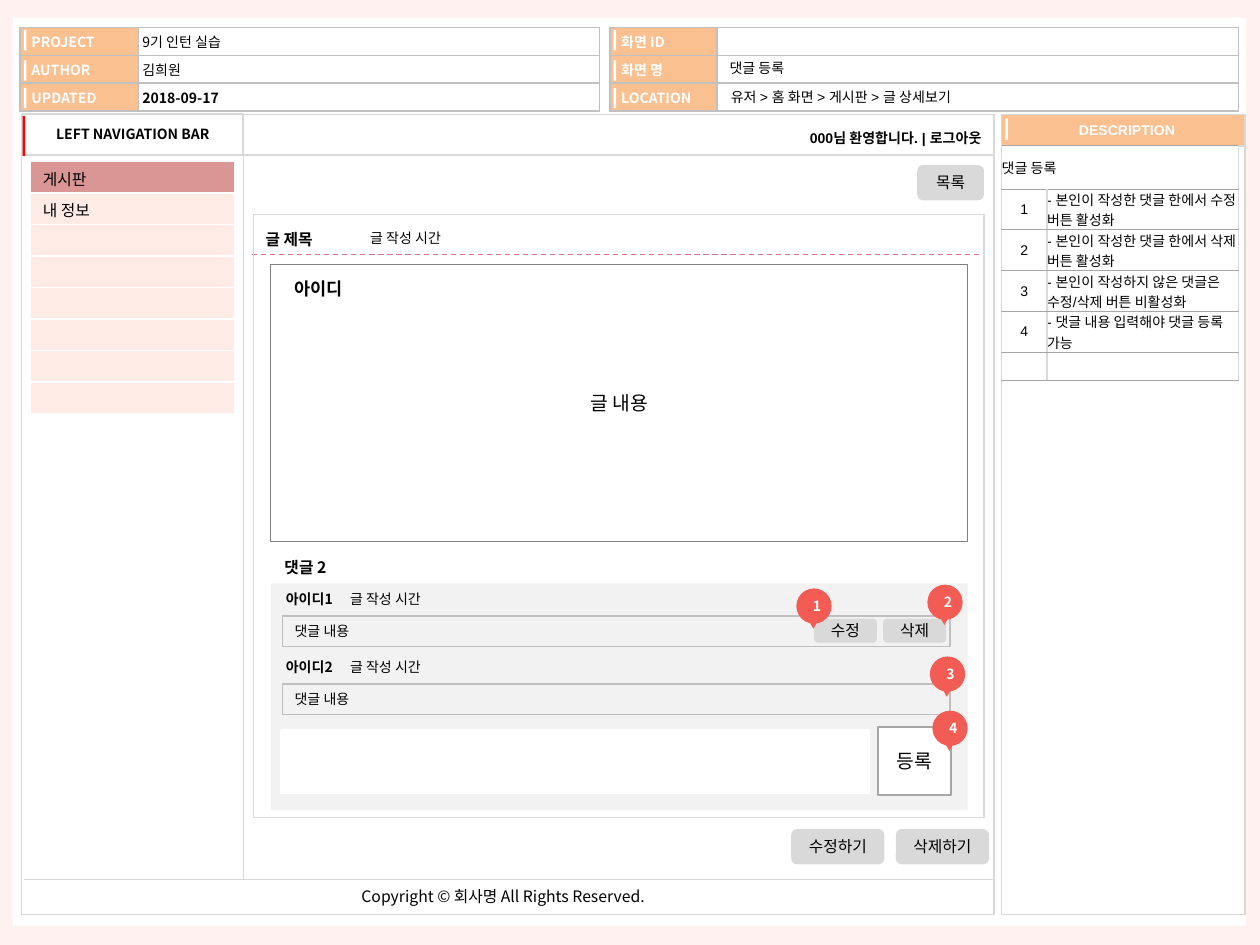
import pptx
import pptx.util
import pptx.dml.color
import pptx.enum.dml
import pptx.enum.shapes
import pptx.enum.text
import pptx.oxml.ns
import lxml.etree

Inches, Pt = pptx.util.Inches, pptx.util.Pt
SHAPE = pptx.enum.shapes.MSO_SHAPE
ALIGN = pptx.enum.text.PP_ALIGN
ANCHOR = pptx.enum.text.MSO_ANCHOR
qn = pptx.oxml.ns.qn

COLORS = {
    "page": "FFF1EF", "white": "FFFFFF", "black": "000000", "label": "FAC090",
    "grid": "C0C0C0", "frame": "D9D9D9", "rule": "A6A6A6", "post": "808080",
    "field": "BFBFBF", "panel": "F2F2F2", "nav": "FFEBE5", "active": "D99694",
    "dash": "D67484", "badge": "F25C54", "red": "FF0000",
}
NOTO, ARIAL = "Noto Sans CJK KR", "Arial"

PROJECT_INFO = [("PROJECT", "9기 인턴 실습"), ("AUTHOR", "김희원"), ("UPDATED", "2018-09-17")]
SCREEN_INFO = [("화면 ID", ""), ("화면 명", ""), ("LOCATION", "")]
SCREEN_NAME = "댓글 등록"
LOCATION = "유저 > 홈 화면 > 게시판 > 글 상세보기"
NAV_ITEMS = ["게시판", "내 정보"] + [""] * 6
NOTES = [
    "- 본인이 작성한 댓글 한에서 수정 버튼 활성화",
    "- 본인이 작성한 댓글 한에서 삭제 버튼 활성화",
    "- 본인이 작성하지 않은 댓글은 수정/삭제 버튼 비활성화",
    "- 댓글 내용 입력해야 댓글 등록 가능",
]
COMMENTS = [("아이디1", 4.64), ("아이디2", 5.18)]
POST_TIME = "글 작성 시간"
BUTTONS = [  # text, left, top, width, height
    ("목록", 7.28, 1.31, 0.53, 0.28),
    ("수정", 6.46, 4.91, 0.5, 0.19),
    ("삭제", 7.01, 4.91, 0.5, 0.19),
    ("수정하기", 6.28, 6.58, 0.74, 0.28),
    ("삭제하기", 7.11, 6.58, 0.74, 0.28),
]
BADGES = [("1", 6.32, 4.67), ("2", 7.36, 4.64), ("3", 7.38, 5.21), ("4", 7.4, 5.64)]

prs = pptx.Presentation()
prs.slide_width, prs.slide_height = Inches(10), Inches(7.5)
s = prs.slides.add_slide(prs.slide_layouts[5])


def rgb(name):
    return pptx.dml.color.RGBColor.from_string(COLORS[name])


def write(tf, text, size=8, font=NOTO, color="black", bold=False, align=ALIGN.LEFT):
    p = tf.paragraphs[0]
    p.text, p.alignment = text, align
    for r in p.runs:
        r.font.size, r.font.name, r.font.bold = Pt(size), font, bold
        r.font.color.rgb = rgb(color)
        lxml.etree.SubElement(r.font._element, qn("a:ea"), typeface=NOTO)
    if not text:  # keeps an empty row from growing to the default size
        lxml.etree.SubElement(p._p, qn("a:endParaRPr"), sz=str(size * 100))


def set_margins(target, left, top, right, bottom):
    target.margin_left, target.margin_top = Inches(left), Inches(top)
    target.margin_right, target.margin_bottom = Inches(right), Inches(bottom)


def add_box(x, y, w, h, fill=None, line=None, width=0.75, text="", kind=SHAPE.RECTANGLE,
            parent=s, left=0, **style):
    sp = parent.shapes.add_shape(kind, Inches(x), Inches(y), Inches(w), Inches(h))
    sp.shadow.inherit = False
    if fill:
        sp.fill.solid()
        sp.fill.fore_color.rgb = rgb(fill)
    else:
        sp.fill.background()
    if line:
        sp.line.color.rgb, sp.line.width = rgb(line), Pt(width)
    else:
        sp.line.fill.background()
    if text:
        set_margins(sp.text_frame, left, 0, 0, 0)
        sp.text_frame.vertical_anchor = ANCHOR.MIDDLE
        write(sp.text_frame, text, **{"align": ALIGN.CENTER, **style})
    return sp


def add_text(x, y, w, h, text, margins=(0.1, 0.05, 0.1, 0.05), wrap=False, **style):
    tf = s.shapes.add_textbox(Inches(x), Inches(y), Inches(w), Inches(h)).text_frame
    tf.word_wrap = wrap
    set_margins(tf, *margins)
    write(tf, text, **style)


def add_line(x1, y1, x2, y2, color="frame", width=1):
    ln = s.shapes.add_connector(pptx.enum.shapes.MSO_CONNECTOR.STRAIGHT,
                                Inches(x1), Inches(y1), Inches(x2), Inches(y2))
    ln.line.color.rgb, ln.line.width = rgb(color), Pt(width)
    lxml.etree.SubElement(ln._element.spPr, qn("a:effectLst"))
    return ln


def add_table(x, y, cols, rows):
    tb = s.shapes.add_table(len(rows), len(cols), Inches(x), Inches(y),
                            Inches(sum(cols)), Inches(sum(rows))).table
    tb.first_row = tb.horz_banding = False
    for col, w in zip(tb.columns, cols):
        col.width = Inches(w)
    for row, h in zip(tb.rows, rows):
        row.height = Inches(h)
    return tb


def fill_cell(cell, text, fill="white", sides=("grid", 1), ends=None,
              margins=(0.03, 0, 0.03, 0), **style):
    """sides is (colour, points) for left and right; ends is the same for top and bottom."""
    set_margins(cell, *margins)
    cell.vertical_anchor = ANCHOR.MIDDLE
    write(cell.text_frame, text, **style)
    tc_pr = cell._tc.get_or_add_tcPr()
    for tag, (color, width) in zip(("lnL", "lnR", "lnT", "lnB"), [sides] * 2 + [ends or sides] * 2):
        ln = lxml.etree.SubElement(tc_pr, qn("a:" + tag), w=str(Pt(width)))
        solid = lxml.etree.SubElement(ln, qn("a:solidFill"))
        lxml.etree.SubElement(solid, qn("a:srgbClr"), val=COLORS[color])
    cell.fill.solid()
    cell.fill.fore_color.rgb = rgb(fill)


def add_header(x, cols, info):
    tb = add_table(x, 0.22, cols, [0.22] * 3)
    for i, (label, value) in enumerate(info):
        fill_cell(tb.cell(i, 0), label, "label", margins=(0.09, 0, 0.03, 0), color="white", bold=True)
        fill_cell(tb.cell(i, 1), value, bold=label == "UPDATED")
    for y in (0.24, 0.48, 0.7):
        add_box(x + 0.03, y, 0.02, 0.16, "white")


def add_badge(number, x, y):
    g = s.shapes.add_group_shape()
    add_box(x, y, 0.28, 0.28, "badge", text=number, kind=SHAPE.OVAL, parent=g, left=0.05,
            color="white", bold=True)
    add_box(x + 0.09, y + 0.24, 0.09, 0.08, "badge", kind=SHAPE.ISOSCELES_TRIANGLE,
            parent=g).rotation = 180


# Page and header
s.background.fill.solid()
s.background.fill.fore_color.rgb = rgb("page")
add_box(0.1, 0.14, 9.79, 7.21, "white")
add_header(0.16, [0.94, 3.66], PROJECT_INFO)
add_header(4.84, [0.85, 4.14], SCREEN_INFO)
small = (0.08, 0.04, 0.08, 0.04)
add_text(5.72, 0.66, 2.9, 0.2, LOCATION, small, True, font=ARIAL)
title = s.shapes.title
title.left, title.top, title.width, title.height = map(Inches, (5.71, 0.43, 2.9, 0.2))
title.text_frame.vertical_anchor = ANCHOR.TOP
title.text_frame.auto_size = pptx.enum.text.MSO_AUTO_SIZE.NONE
set_margins(title.text_frame, *small)
write(title.text_frame, SCREEN_NAME, font=ARIAL)
s.shapes._spTree.append(title._element)  # in front of the header table

# Description column
add_box(0.17, 0.91, 7.72, 6.35, line="frame")
tb = add_table(7.95, 0.91, [1.93], [0.25, 6.1])
fill_cell(tb.cell(0, 0), "DESCRIPTION", "label", ("frame", 1), margins=(0.06, 0, 0, 0),
          font=ARIAL, color="white", bold=True, align=ALIGN.CENTER)
fill_cell(tb.cell(1, 0), "", sides=("frame", 1))
add_box(7.98, 0.94, 0.02, 0.17, "white")
tb = add_table(7.95, 1.15, [0.36, 1.52], [0.35] + [0.32] * len(NOTES) + [0.22])
numbered = [(str(i), note) for i, note in enumerate(NOTES, 1)]
for i, row in enumerate([(SCREEN_NAME, "")] + numbered + [("", "")]):
    for j, text in enumerate(row):
        fill_cell(tb.cell(i, j), text, sides=("frame", 1), ends=("rule", 0.5), margins=(0, 0, 0, 0),
                  font=ARIAL, align=ALIGN.CENTER if i and not j else ALIGN.LEFT)
tb.cell(0, 0).merge(tb.cell(0, 1))

# Navigation and top bar
add_box(0.18, 0.9, 1.75, 0.33, line="frame", text="LEFT NAVIGATION BAR", bold=True)
add_box(0.18, 0.92, 0.02, 0.32, "red")
add_line(1.93, 0.91, 1.93, 6.98, width=0.75)
add_line(1.93, 1.23, 7.89, 1.23)
add_text(5.29, 0.99, 2.58, 0.22, "000님 환영합니다. | 로그아웃", small, True,
         font=ARIAL, bold=True, align=ALIGN.RIGHT)
tb = add_table(0.24, 1.28, [1.62], [0.25] * len(NAV_ITEMS))
for i, item in enumerate(NAV_ITEMS):
    fill_cell(tb.cell(i, 0), item, "nav" if i else "active", ("white", 1),
              margins=(0.1, 0.02, 0.1, 0), size=9)

# Post
add_text(2.24, 2.16, 0.62, 0.27, "아이디", size=10, bold=True)
add_box(2.15, 2.1, 5.53, 2.2, line="post", text="글 내용", size=11)
add_text(2.84, 1.77, 0.84, 0.24, POST_TIME)
add_text(2.01, 1.77, 0.62, 0.25, "글 제목", size=9, bold=True)
add_line(2, 2.02, 7.82, 2.02, "dash", 0.75).line.dash_style = pptx.enum.dml.MSO_LINE.DASH
add_box(2.01, 1.7, 5.8, 4.79, line="frame")
add_line(0.19, 6.98, 7.89, 6.98)
add_text(2.77, 6.99, 2.52, 0.25, "Copyright © 회사명 All Rights Reserved.", size=9)

# Comments
add_box(2.15, 4.63, 5.53, 1.8, "panel")
add_box(2.24, 5.8, 4.65, 0.49, "white", "white", 2)
add_box(6.97, 5.77, 0.58, 0.54, "white", "rule", 1, "등록", size=11)
add_text(2.16, 4.38, 0.57, 0.25, "댓글 2", size=9, bold=True)
for author, y in COMMENTS:
    add_text(2.17, y, 0.6, 0.24, author, bold=True)
    add_text(2.68, y, 0.84, 0.24, POST_TIME)
    add_box(2.24, y + 0.25, 5.3, 0.24, line="field", text="댓글 내용", left=0.1, align=ALIGN.LEFT)
for text, *place in BUTTONS:
    add_box(*place, "frame", text=text, kind=SHAPE.ROUNDED_RECTANGLE, size=9)
for badge in BADGES:
    add_badge(*badge)

prs.save("out.pptx")
